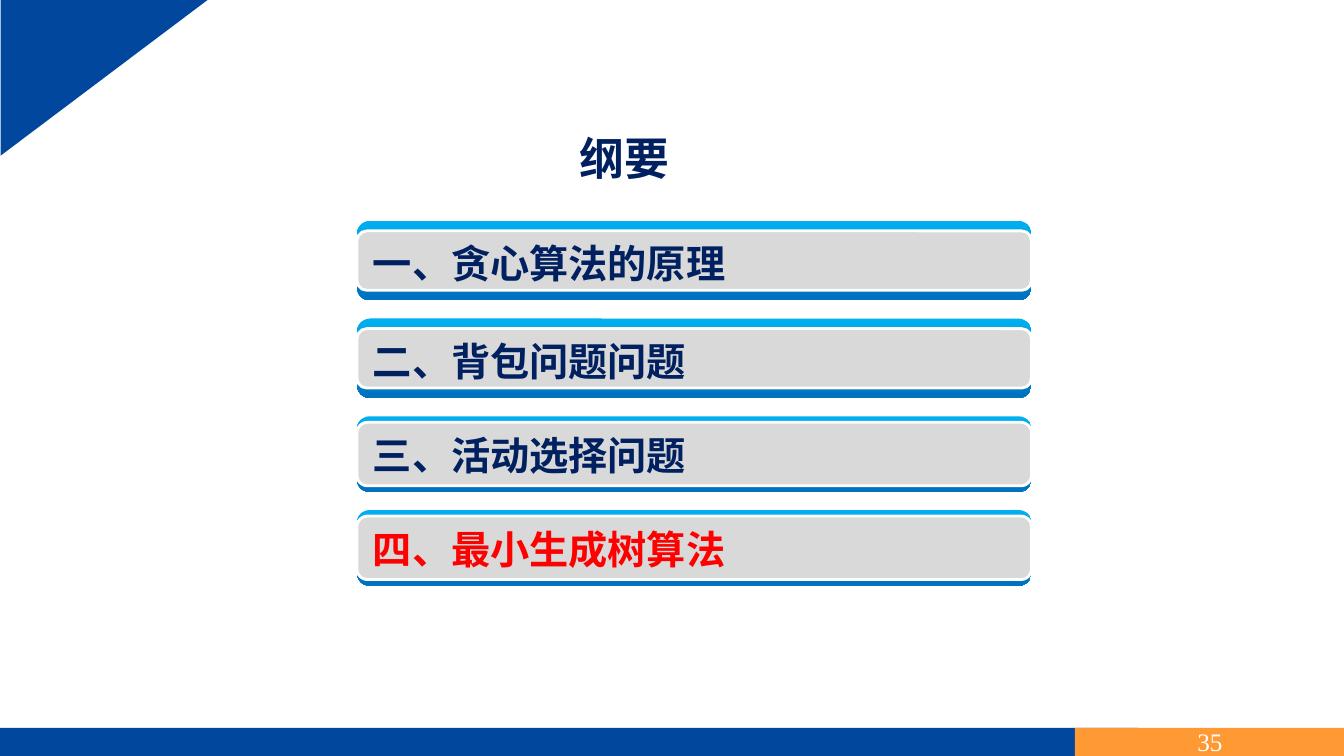
from dataclasses import dataclass

from pptx import Presentation
from pptx.dml.color import RGBColor
from pptx.enum.shapes import MSO_SHAPE
from pptx.enum.text import MSO_ANCHOR, MSO_AUTO_SIZE, PP_ALIGN
from pptx.util import Pt

EMU_PER_PX = 9144  # 100 px to the inch


@dataclass(frozen=True)
class Theme:
    font: str = "Times New Roman"
    blue: str = "00479D"
    orange: str = "FF9933"
    navy: str = "002060"
    red: str = "FF0000"
    white: str = "FFFFFF"
    card: str = "D9D9D9"
    edge_top: str = "00B0F0"
    edge_bottom: str = "0070C0"
    title_size: int = 32
    item_size: int = 28
    page_size: int = 18


def px(*lengths):
    return [length * EMU_PER_PX for length in lengths]


def rgb(color):
    return RGBColor.from_string(color)


class OutlineSlide:
    def __init__(self, deck, theme):
        self.theme = theme
        self.slide = deck.slides.add_slide(deck.slide_layouts[5])

    def set_text(self, holder, text, size, color, bold=True, align=PP_ALIGN.LEFT):
        frame = holder.text_frame
        frame.text = text
        frame.word_wrap = True
        paragraph = frame.paragraphs[0]
        paragraph.alignment = align
        font = paragraph.runs[0].font
        font.name, font.size, font.bold = self.theme.font, Pt(size), bold
        font.color.rgb = rgb(color)
        return frame

    def shape(self, kind, box, fill=None, parent=None):
        shape = (parent or self.slide).shapes.add_shape(kind, *px(*box))
        shape.shadow.inherit = False
        shape.line.fill.background()
        if fill:
            shape.fill.solid()
            shape.fill.fore_color.rgb = rgb(fill)
        return shape

    def title(self, text, box):
        heading = self.slide.shapes.title
        heading.left, heading.top, heading.width, heading.height = px(*box)
        frame = self.set_text(heading, text, self.theme.title_size,
                              self.theme.navy, align=PP_ALIGN.CENTER)
        frame.auto_size = MSO_AUTO_SIZE.SHAPE_TO_FIT_TEXT
        frame.vertical_anchor = MSO_ANCHOR.TOP

    def frame_decoration(self, page):
        """Draw the corner triangle and the footer bars with the page number."""
        theme = self.theme
        self.shape(MSO_SHAPE.RECTANGLE, (0, 722, 1129, 28), theme.blue)
        page_bar = self.shape(MSO_SHAPE.RECTANGLE, (1066, 722, 268, 28), theme.orange)
        frame = self.set_text(page_bar, page, theme.page_size, theme.white,
                              bold=False, align=PP_ALIGN.CENTER)
        frame.vertical_anchor = MSO_ANCHOR.MIDDLE
        corner = self.shape(MSO_SHAPE.RIGHT_TRIANGLE, (26, -26, 155, 206), theme.blue)
        corner.rotation = 90

    def item(self, text, top, height, rim, color):
        """Draw one outline entry: gradient back, grey card and its label."""
        theme, left, width = self.theme, 354, 669
        group = self.slide.shapes.add_group_shape()
        back = self.shape(MSO_SHAPE.ROUNDED_RECTANGLE, (left, top, width, height),
                          parent=group)
        back.fill.gradient()
        back.fill.gradient_angle = 270
        for stop, stop_color in zip(back.fill.gradient_stops,
                                    (theme.edge_top, theme.edge_bottom)):
            stop.color.rgb = rgb(stop_color)
        card = self.shape(MSO_SHAPE.ROUNDED_RECTANGLE,
                          (left, top + rim, width, height - 2 * rim),
                          theme.card, group)
        card.line.color.rgb = rgb(theme.white)
        card.line.width = Pt(2)
        label = group.shapes.add_textbox(*px(left + 6, top + rim + 4, 645, 57))
        frame = self.set_text(label, text, theme.item_size, color)
        frame.auto_size = MSO_AUTO_SIZE.SHAPE_TO_FIT_TEXT


def main():
    deck = Presentation()
    deck.slide_width, deck.slide_height = px(1333, 750)
    theme = Theme()
    outline = OutlineSlide(deck, theme)
    outline.frame_decoration("35")
    outline.title("纲要", (400, 125, 438, 64))
    for text, top, height, rim, color in (
        ("一、贪心算法的原理", 219, 79, 10, theme.navy),
        ("二、背包问题问题", 316, 79, 10, theme.navy),
        ("三、活动选择问题", 413, 75, 6, theme.navy),
        ("四、最小生成树算法", 506, 75, 6, theme.red),
    ):
        outline.item(text, top, height, rim, color)
    deck.save("out.pptx")


if __name__ == "__main__":
    main()
